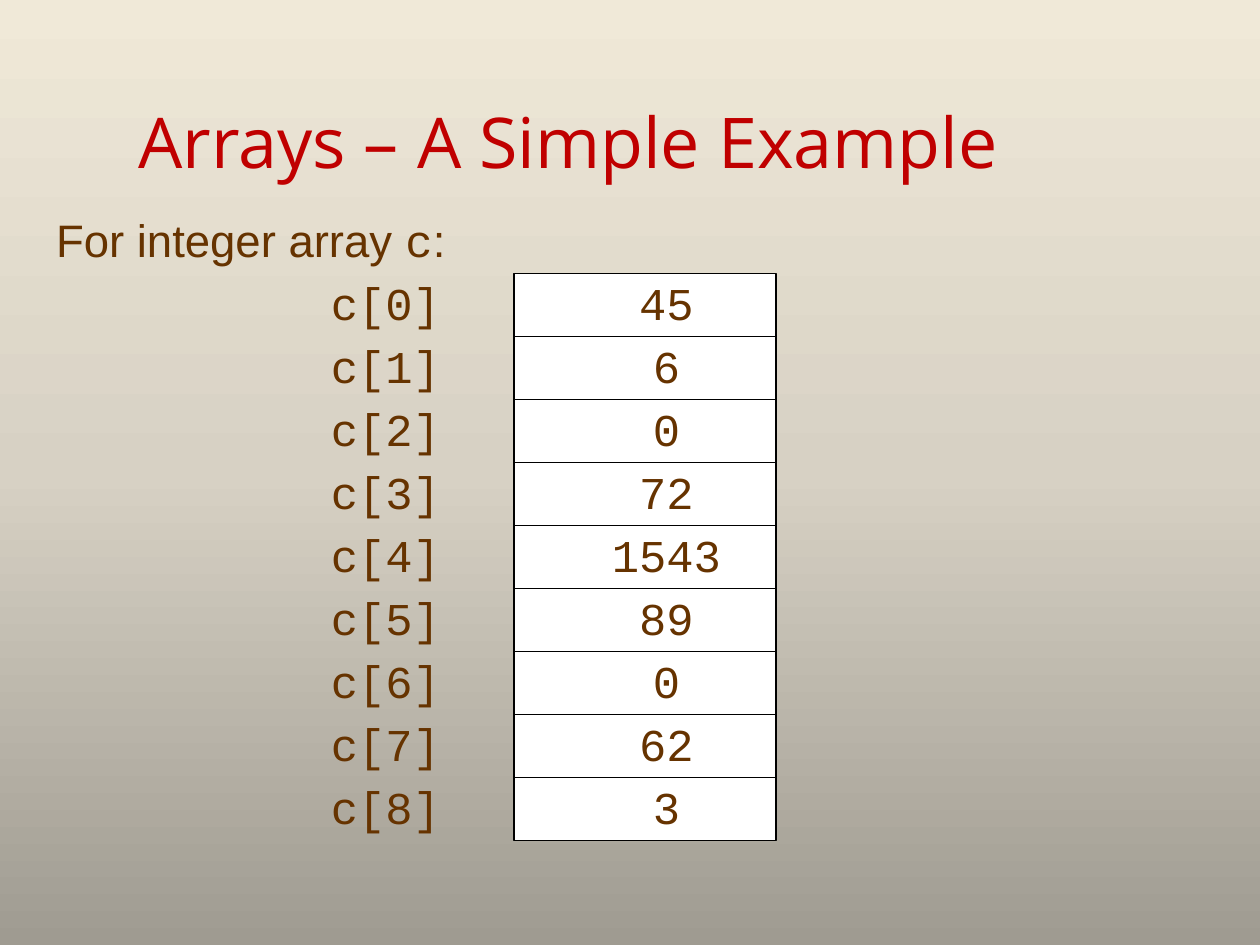
from copy import deepcopy

from pptx import Presentation
from pptx.dml.color import RGBColor
from pptx.enum import shapes, text
from pptx.oxml import ns
from pptx.util import Inches, Pt

RED = RGBColor(0xC0, 0x00, 0x00)
BROWN = RGBColor(0x66, 0x33, 0x00)
BLACK = RGBColor(0x00, 0x00, 0x00)
WHITE = RGBColor(0xFF, 0xFF, 0xFF)
BACKGROUND_STOPS = [
    (0, RGBColor(0x9F, 0x9B, 0x91)),
    (0.5, RGBColor(0xD7, 0xD1, 0xC4)),
    (1, RGBColor(0xF0, 0xE9, 0xD8)),
]
SANS, MONO, TITLE_FONT = "Arial", "Courier New", "Open Sans"


class SlideBuilder:
    """Holds the text style and the current slide."""

    text_size, line_width = Pt(26), Pt(0.75)

    def __init__(self, slide):
        self.slide = slide

    def background(self, stops):
        fill = self.slide.background.fill
        fill.gradient()
        stop_list = self.slide.element.find(".//" + ns.qn("a:gsLst"))
        stop_list.insert(1, deepcopy(stop_list[0]))
        for stop, (position, color) in zip(fill.gradient_stops, stops):
            stop.position = position
            stop.color.rgb = color
        fill.gradient_angle = 90

    def style(self, run, font, size, color):
        run.font.name, run.font.size = font, size
        run.font.color.rgb = color

    def title(self, words, left, top, width, height):
        shape = self.slide.shapes.title
        shape.left, shape.top = Inches(left), Inches(top)
        shape.width, shape.height = Inches(width), Inches(height)
        frame = shape.text_frame
        frame.text = words
        frame.vertical_anchor = text.MSO_ANCHOR.BOTTOM
        frame.margin_bottom = Inches(0.1)
        paragraph = frame.paragraphs[0]
        paragraph.alignment = text.PP_ALIGN.LEFT
        self.style(paragraph.runs[0], TITLE_FONT, Pt(40), RED)

    def label(self, parts, center, top, width):
        """Add a centred one-line text made of (words, font) parts."""
        shape = self.slide.shapes.add_textbox(
            Inches(center - width / 2), Inches(top), Inches(width), Inches(0.54))
        frame = shape.text_frame
        frame.word_wrap = False
        frame.auto_size = text.MSO_AUTO_SIZE.SHAPE_TO_FIT_TEXT
        paragraph = frame.paragraphs[0]
        paragraph.alignment = text.PP_ALIGN.CENTER
        for words, font in parts:
            run = paragraph.add_run()
            run.text = words
            self.style(run, font, self.text_size, BROWN)

    def code(self, words, center, top):
        self.label([(words, MONO)], center, top, 0.2 + 0.22 * len(words))

    def box(self, left, top, width, height):
        shape = self.slide.shapes.add_shape(
            shapes.MSO_SHAPE.RECTANGLE,
            Inches(left), Inches(top), Inches(width), Inches(height))
        shape.shadow.inherit = False
        shape.fill.solid()
        shape.fill.fore_color.rgb = WHITE
        shape.line.color.rgb = BLACK
        shape.line.width = self.line_width

    def divider(self, left, right, top):
        line = self.slide.shapes.add_connector(
            shapes.MSO_CONNECTOR.STRAIGHT,
            Inches(left), Inches(top), Inches(right), Inches(top))
        line.line.color.rgb = BLACK
        line.line.width = self.line_width
        properties = line._element.spPr
        properties.append(properties.makeelement(ns.qn("a:effectLst"), {}))


presentation = Presentation()
presentation.slide_width, presentation.slide_height = Inches(10), Inches(7.5)
builder = SlideBuilder(presentation.slides.add_slide(presentation.slide_layouts[5]))
builder.background(BACKGROUND_STOPS)
builder.title("Arrays \u2013 A Simple Example", 1, 0.3, 8.5, 1.25)

# Array cells
values = [45, 6, 0, 72, 1543, 89, 0, 62, 3]
left, top, width, row_height = 4.08, 2.17, 2.08, 0.5
builder.box(left, top, width, row_height * len(values))
for row in range(1, len(values)):
    builder.divider(left, left + width, top + row * row_height)

# Values and their subscripts
for row, value in enumerate(values):
    text_top = top - 0.04 + row * row_height
    builder.code(str(value), 5.29, text_top)
    builder.code(f"c[{row}]", 3.06, text_top)

# Introduction
builder.label([("For integer array ", SANS), ("c", MONO), (":", SANS)], 1.99, 1.63, 3.32)

presentation.save("out.pptx")
